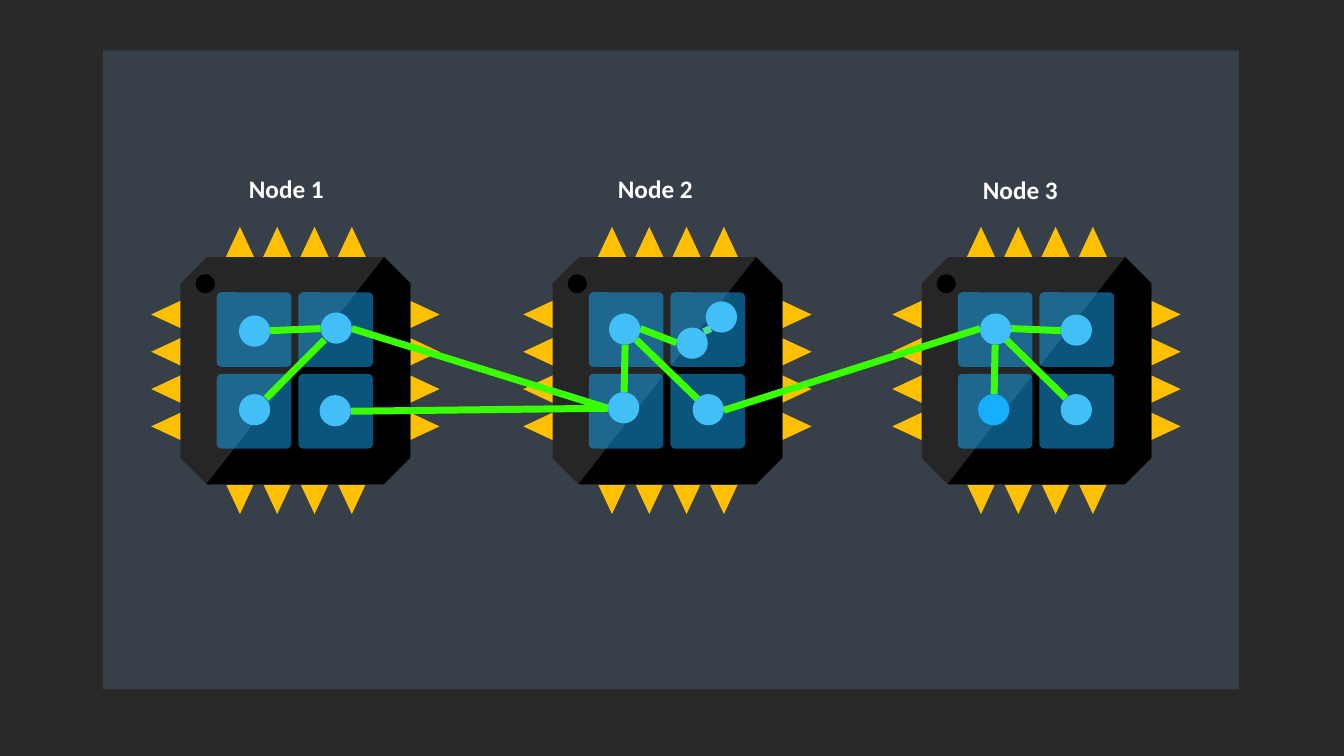
from lxml import etree
from pptx import Presentation
from pptx.dml.color import RGBColor
from pptx.enum.shapes import MSO_CONNECTOR, MSO_SHAPE
from pptx.enum.text import MSO_AUTO_SIZE
from pptx.oxml.ns import qn
from pptx.util import Inches, Pt

RECT = MSO_SHAPE.RECTANGLE
OCTAGON = MSO_SHAPE.OCTAGON
OVAL = MSO_SHAPE.OVAL
ROUNDED = MSO_SHAPE.ROUNDED_RECTANGLE
STRAIGHT = MSO_CONNECTOR.STRAIGHT
FIT = MSO_AUTO_SIZE.SHAPE_TO_FIT_TEXT

GREEN, MINT, SKY, BLUE = "3AFF00", "50DE94", "43BFF7", "17AEFF"


def paint(sp, color, alpha=None):
    sp.fill.solid()
    sp.fill.fore_color.rgb = RGBColor.from_string(color)
    if hasattr(sp, "shadow"):
        sp.shadow.inherit = False
        sp.line.fill.background()
    if alpha:
        clr = sp._element.spPr.find(".//" + qn("a:srgbClr"))
        etree.SubElement(clr, qn("a:alpha")).set("val", str(alpha * 1000))


def add_text(text, x, y, w, h, size=18, font="Calibri", color="FFFFFF", bold=True):
    tb = s.shapes.add_textbox(Inches(x), Inches(y), Inches(w), Inches(h))
    tf = tb.text_frame
    tf.word_wrap = False
    tf.auto_size = FIT
    r = tf.paragraphs[0].add_run()
    r.text = text
    r.font.size, r.font.name, r.font.bold = Pt(size), font, bold
    paint(r.font, color)


prs = Presentation()
prs.slide_width, prs.slide_height = Inches(13.33), Inches(7.5)
s = prs.slides.add_slide(prs.slide_layouts[6])
paint(s.background, "282828")

panel = s.shapes.add_shape(RECT, Inches(1.02), Inches(0.5), Inches(11.27), Inches(6.34))
paint(panel, "373F48")

for x in (1.5, 5.19, 8.85):
    pins = []
    for i in range(4):
        px, py = x + 0.74 + 0.37 * i, 2.98 + 0.37 * i
        for base, tip in ((2.55, 2.25), (4.8, 5.1)):
            pins.append([(px, base), (px + 0.28, base), (px + 0.14, tip)])
        for base, tip in ((x + 0.3, x), (x + 2.56, x + 2.86)):
            pins.append([(base, py), (base, py + 0.28), (tip, py + 0.14)])
    shade = [(x + 0.55, 4.8), (x + 2.31, 2.55), (x + 2.57, 2.81),
             (x + 2.57, 4.54), (x + 2.31, 4.8)]

    for outlines, color in ((pins, "FFC001"), ([shade], "000000")):
        if outlines[0] is shade:
            body = s.shapes.add_shape(OCTAGON, Inches(x + 0.29), Inches(2.55),
                                      Inches(2.28), Inches(2.26))
            body.adjustments[0] = 0.117
            paint(body, "262626")
        fb = s.shapes.build_freeform(Inches(outlines[0][0][0]), Inches(outlines[0][0][1]))
        for outline in outlines:
            points = [(Inches(a), Inches(b)) for a, b in outline]
            if outline is not outlines[0]:
                fb.move_to(*points[0])
            fb.add_line_segments(points[1:], close=True)
        paint(fb.convert_to_shape(), color)

    marker = s.shapes.add_shape(OVAL, Inches(x + 0.44), Inches(2.72), Inches(0.19), Inches(0.19))
    paint(marker, "000000")

    cores = s.shapes.add_group_shape()
    for row in range(2):
        for col in range(2):
            core = cores.shapes.add_shape(ROUNDED, Inches(x + 0.65 + 0.81 * col),
                                          Inches(2.9 + 0.81 * row), Inches(0.74), Inches(0.74))
            core.adjustments[0] = 0.062
            paint(core, BLUE, alpha=49)

links = [
    (9.72, 3.26, 7.18, 4.07, GREEN), (6.03, 4.05, 3.49, 3.26, GREEN),
    (6.03, 4.05, 3.48, 4.08, GREEN), (6.2, 3.42, 6.19, 3.89, GREEN),
    (3.18, 3.26, 2.68, 3.28, GREEN), (3.22, 3.37, 2.64, 3.95, GREEN),
    (9.87, 3.42, 9.86, 3.91, GREEN), (9.98, 3.37, 10.57, 3.95, GREEN),
    (6.31, 3.37, 6.92, 3.96, GREEN), (10.03, 3.26, 10.52, 3.28, GREEN),
    (6.71, 3.4, 6.35, 3.26, GREEN), (6.98, 3.29, 7.05, 3.26, MINT),
]
dots = [
    (2.37, 3.91, SKY), (3.17, 3.92, SKY), (3.18, 3.1, SKY), (2.37, 3.13, SKY),
    (6.03, 3.89, SKY), (6.87, 3.91, SKY), (6.04, 3.11, SKY), (7, 2.99, SKY),
    (6.71, 3.25, SKY), (9.72, 3.11, SKY), (9.7, 3.91, BLUE), (10.52, 3.91, SKY),
    (10.52, 3.12, SKY),
]
network = s.shapes.add_group_shape()
for x1, y1, x2, y2, color in links:
    link = network.shapes.add_connector(STRAIGHT, Inches(x1), Inches(y1), Inches(x2), Inches(y2))
    link.line.width = Pt(5)
    paint(link.line, color)
    etree.SubElement(link._element.spPr, qn("a:effectLst"))
for x, y, color in dots:
    dot = network.shapes.add_shape(OVAL, Inches(x), Inches(y), Inches(0.31), Inches(0.31))
    paint(dot, color)

for label, x, y in (("Node 1", 2.37, 1.67), ("Node 2", 6.03, 1.67), ("Node 3", 9.65, 1.68)):
    add_text(label, x, y, 0.95, 0.4)

prs.save("out.pptx")
